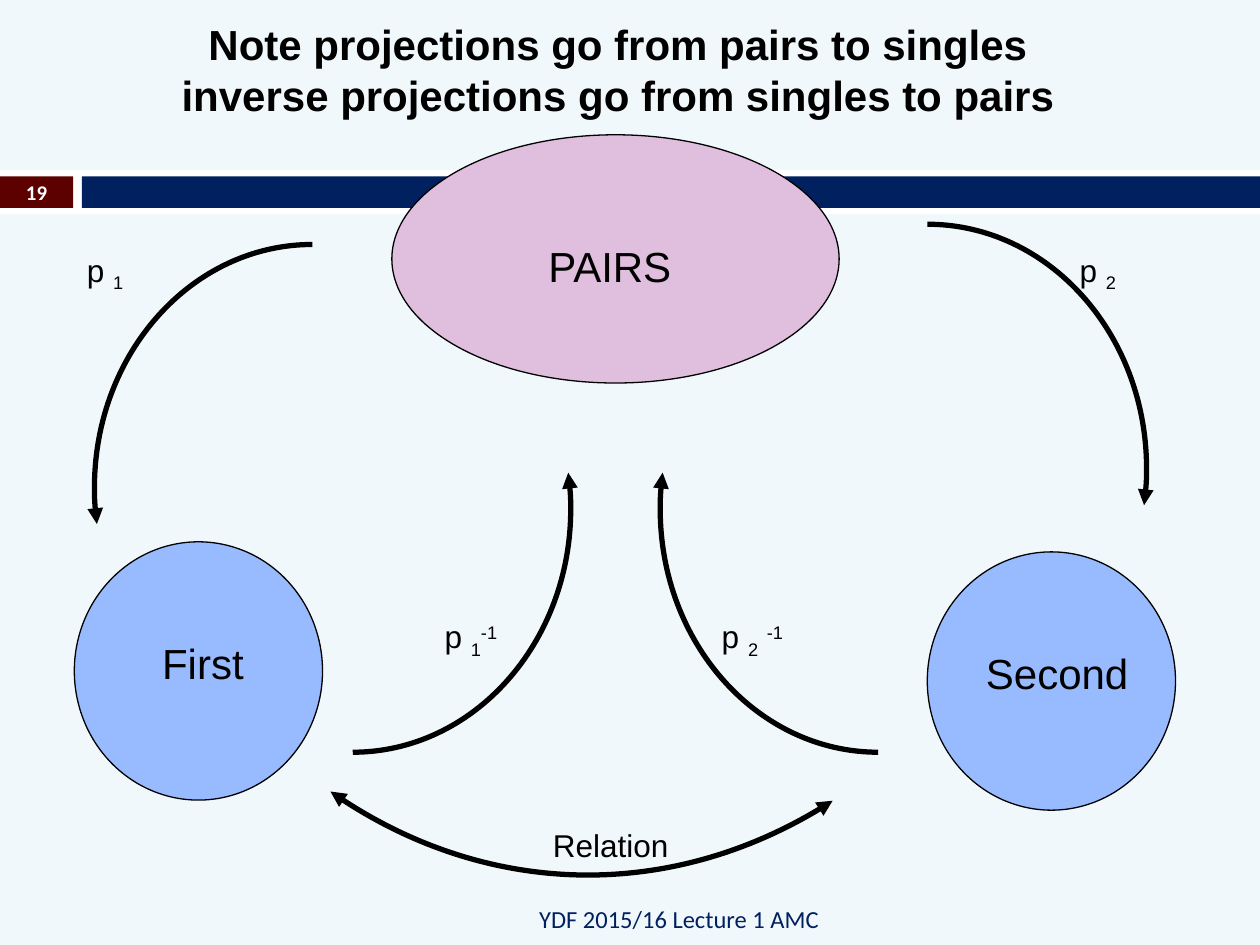
import copy
import math
import pptx
import pptx.util
import pptx.dml.color
import pptx.enum.shapes
import pptx.enum.text
import pptx.oxml.ns
from lxml import etree

Inches, Pt = pptx.util.Inches, pptx.util.Pt
Shape = pptx.enum.shapes.MSO_SHAPE
Align = pptx.enum.text.PP_ALIGN
Anchor = pptx.enum.text.MSO_ANCHOR
rgb = pptx.dml.color.RGBColor.from_string
qn = pptx.oxml.ns.qn

# Text formats
BODY = {"name": "Arial", "size": Pt(18), "bold": False}
NAME = {"name": "Arial", "size": Pt(24), "bold": False}
HEAD = {"name": "Arial", "size": Pt(24), "bold": True}
FOOT = {"name": "Calibri", "size": Pt(14), "bold": False}
PAGE = {"name": "Calibri", "size": Pt(11.9), "bold": True}


def write(box, lines, look, color="000000", align=Align.LEFT, anchor=Anchor.TOP):
    """Fill a box; each line is a list of (text, baseline percent) runs."""
    frame = box.text_frame
    frame.word_wrap = True
    frame.vertical_anchor = anchor
    for i, line in enumerate(lines):
        para = frame.paragraphs[0] if i == 0 else frame.add_paragraph()
        para.alignment = align
        para.space_before = Pt(0)
        for text, base in line:
            run = para.add_run()
            run.text = text
            for key, value in look.items():
                setattr(run.font, key, value)
            run.font.color.rgb = rgb(color)
            if base:
                run._r.get_or_add_rPr().set("baseline", str(base * 1000))


def block(kind, area, fill, line=None):
    """Add a filled preset shape, outlined if a line colour is given."""
    shape = slide.shapes.add_shape(kind, *map(Inches, area))
    shape.shadow.inherit = False
    shape.fill.solid()
    shape.fill.fore_color.rgb = rgb(fill)
    if line:
        shape.line.color.rgb = rgb(line)
        shape.line.width = Pt(0.75)
    else:
        shape.line.fill.background()


deck = pptx.Presentation()
deck.slide_width, deck.slide_height = Inches(10), Inches(7.5)
slide = deck.slides.add_slide(deck.slide_layouts[5])
slide.background.fill.solid()
slide.background.fill.fore_color.rgb = rgb("F1F8FB")

# Title
title = slide.shapes.title
title.left, title.top, title.width, title.height = map(Inches, (1.31, 0.09, 7.19, 0.91))
write(title, [[("Note projections go from pairs to singles", 0)],
              [("inverse projections go from singles to pairs", 0)]],
      HEAD, align=Align.CENTER, anchor=Anchor.MIDDLE)
title.text_frame.word_wrap = False
for para in title.text_frame.paragraphs:
    para.line_spacing = Pt(29)

# Band across the slide
for area, fill in [((0, 1.35, 10, 0.35), "FFFFFF"),
                   ((0, 1.4, 0.58, 0.25), "5C0000"),
                   ((0.65, 1.4, 9.35, 0.25), "002060")]:
    block(Shape.RECTANGLE, area, fill)

# Footer and page number
foot = slide.shapes.add_textbox(*map(Inches, (0.67, 7.09, 5.93, 0.4)))
write(foot, [[("YDF 2015/16 Lecture 1 AMC", 0)]], FOOT, "002060",
      Align.RIGHT, Anchor.MIDDLE)
page = slide.shapes.add_textbox(*map(Inches, (0, 1.39, 0.58, 0.27)))
write(page, [[("19", 0)]], PAGE, "FFFFFF", Align.CENTER, Anchor.MIDDLE)

# Curved arrows: centre, radii, angles of the Bezier joints, arrowheads
arcs = [
    (2.48, 3.87, 1.73, 1.93, (171.4, 180, 270), ["headEnd"]),
    (7.36, 3.72, 1.74, 1.94, (8.6, 0, -90), ["headEnd"]),
    (2.8, 4.04, 1.73, 1.93, (-8.6, 0, 90), ["headEnd"]),
    (6.97, 4.04, 1.73, 1.93, (188.6, 180, 90), ["headEnd"]),
    (4.67, 3.37, 3.56, 3.56, (57, 125.1), ["headEnd", "tailEnd"]),
]
for x, y, wide, high, turns, tips in arcs:
    # Points on a unit circle: a joint, then two handles and a joint per piece
    turns = [math.radians(t) for t in turns]
    unit = [(math.cos(turns[0]), math.sin(turns[0]))]
    for a, b in zip(turns, turns[1:]):
        k = 4 / 3 * math.tan((b - a) / 4)
        unit += [(math.cos(a) - k * math.sin(a), math.sin(a) + k * math.cos(a)),
                 (math.cos(b) + k * math.sin(b), math.sin(b) - k * math.cos(b)),
                 (math.cos(b), math.sin(b))]
    dots = [(Inches(x + wide * u), Inches(y + high * v)) for u, v in unit]
    build = slide.shapes.build_freeform(*dots[0])
    build.add_line_segments(dots[1:] + [(Inches(x), Inches(y))], close=True)
    arc = build.convert_to_shape()
    arc.shadow.inherit = False
    arc.fill.background()
    arc.line.color.rgb = rgb("000000")
    arc.line.width = Pt(3)
    for tip in tips:
        etree.SubElement(arc.line._get_or_add_ln(), qn("a:" + tip), type="triangle")

    # Turn each three line steps into one curve
    sector = arc._element.find(".//" + qn("a:path"))
    steps = sector.findall(qn("a:lnTo"))
    for i in range(0, len(steps) - 1, 3):
        curve = etree.Element(qn("a:cubicBezTo"))
        steps[i].addprevious(curve)
        for step in steps[i:i + 3]:
            curve.append(step[0])
            sector.remove(step)

    # Stroke the open curve only, not the sector
    stroke = copy.deepcopy(sector)
    for tag in ("a:lnTo", "a:close"):
        stroke.remove(stroke.find(qn(tag)))
    stroke.set("fill", "none")
    sector.set("stroke", "0")
    sector.addprevious(stroke)

# Arrow labels
labels = [
    ((4.29, 6.51, 1.18, 0.4), [("Relation", 0)]),
    ((0.59, 1.94, 0.55, 0.4), [("p ", 0), ("1", -25)]),
    ((8.47, 1.94, 0.55, 0.4), [("p ", 0), ("2", -25)]),
    ((3.43, 4.85, 0.94, 0.4), [("p ", 0), ("1", -25), ("-1", 30)]),
    ((5.63, 4.85, 0.94, 0.4), [("p ", 0), ("2", -25), (" ", 0), ("-1", 30)]),
]
for area, runs in labels:
    write(slide.shapes.add_textbox(*map(Inches, area)), [runs], BODY)

# Sets with their names
sets = [
    ("PAIRS", (3.11, 1.07, 3.55, 1.97), "E0BEDD", (3.58, 1.86)),
    ("First", (0.59, 4.3, 1.97, 2.05), "98BAFF", (0.35, 5.01)),
    ("Second", (7.36, 4.38, 1.97, 2.05), "98BAFF", (7.13, 5.09)),
]
for name, area, fill, spot in sets:
    block(Shape.OVAL, area, fill, "000000")
    box = slide.shapes.add_textbox(*map(Inches, (*spot, 2.52, 0.5)))
    write(box, [[(name, 0)]], NAME, align=Align.CENTER)

deck.save("out.pptx")
